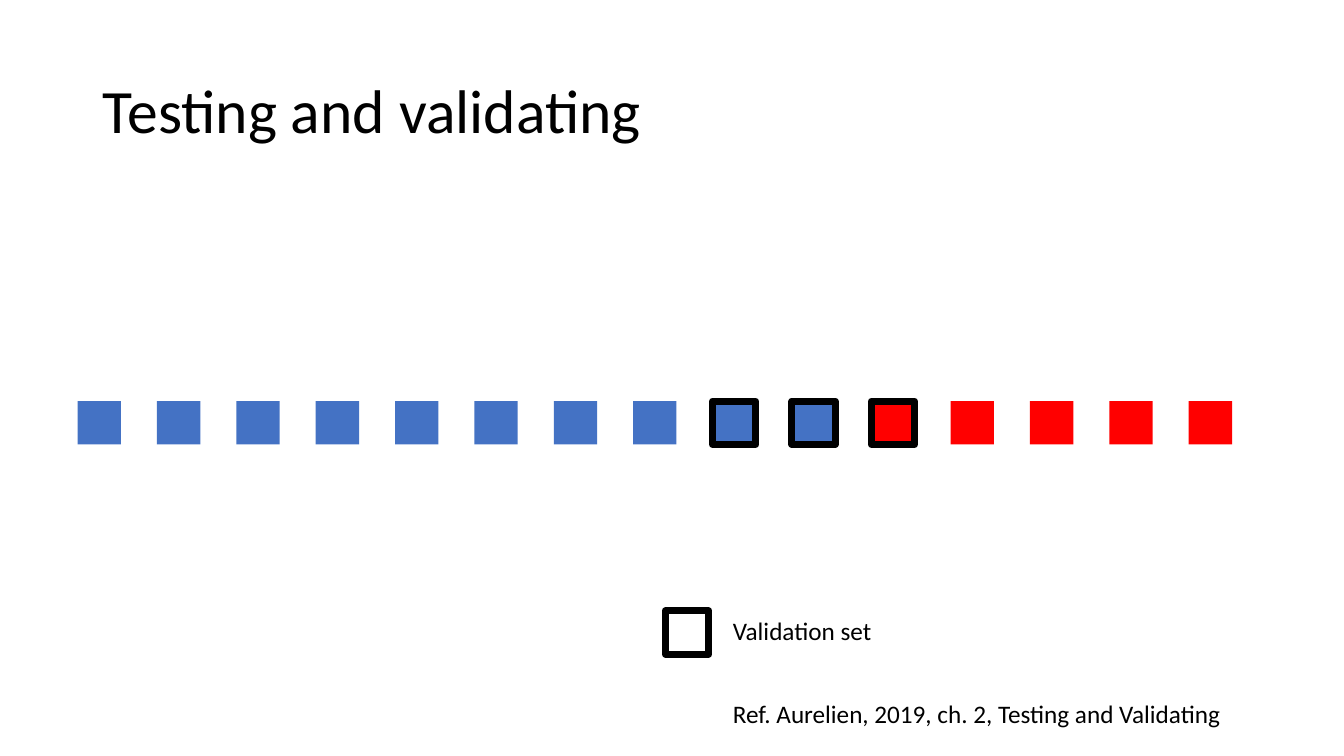
from pptx import Presentation
from pptx.dml.color import RGBColor
from pptx.enum.shapes import MSO_SHAPE
from pptx.enum.text import MSO_ANCHOR, MSO_AUTO_SIZE, PP_ALIGN
from pptx.util import Inches, Pt

COLORS = {
    "training": "4472C4",
    "test": "FF0000",
    "outline": "000000",
    "background": "FFFFFF",
    "text": "000000",
}
FONT = "Calibri"
SQUARE_SIZE = 0.43
SQUARE_COUNT = 15
TRAINING_COUNT = 10
VALIDATION_SQUARES = range(8, 11)
ROW_LEFT, ROW_RIGHT, ROW_TOP = 0.77, 11.79, 3.98
LEGEND_TOP = 6.06
CAPTION_LEFT = 7.17


def color(name):
    return RGBColor.from_string(COLORS[name])


def write_text(shape, text, size=18, anchor=MSO_ANCHOR.TOP, line_spacing=None,
               auto_size=MSO_AUTO_SIZE.NONE):
    frame = shape.text_frame
    frame.word_wrap = True
    frame.auto_size = auto_size
    frame.vertical_anchor = anchor
    paragraph = frame.paragraphs[0]
    paragraph.alignment = PP_ALIGN.LEFT
    paragraph.line_spacing = line_spacing
    run = paragraph.add_run()
    run.text = text
    run.font.size = Pt(size)
    run.font.name = FONT
    run.font.color.rgb = color("text")


def add_title(slide, text):
    title = slide.shapes.title
    title.left, title.top = Inches(0.92), Inches(0.4)
    title.width, title.height = Inches(11.5), Inches(1.45)
    write_text(title, text, size=44, anchor=MSO_ANCHOR.MIDDLE, line_spacing=0.9)


def add_caption(slide, text, top, width):
    box = slide.shapes.add_textbox(
        Inches(CAPTION_LEFT), Inches(top), Inches(width), Inches(0.4))
    write_text(box, text, auto_size=MSO_AUTO_SIZE.SHAPE_TO_FIT_TEXT)


def add_square(slide, left, top, fill, outlined=False):
    square = slide.shapes.add_shape(
        MSO_SHAPE.RECTANGLE, Inches(left), Inches(top),
        Inches(SQUARE_SIZE), Inches(SQUARE_SIZE))
    square.shadow.inherit = False
    square.fill.solid()
    square.fill.fore_color.rgb = color(fill)
    if outlined:
        square.line.color.rgb = color("outline")
        square.line.width = Pt(5)
    else:
        square.line.fill.background()


def add_data_row(slide):
    pitch = (ROW_RIGHT - ROW_LEFT) / (SQUARE_COUNT - 1)
    for index in range(SQUARE_COUNT):
        fill = "training" if index < TRAINING_COUNT else "test"
        add_square(slide, ROW_LEFT + index * pitch, ROW_TOP, fill,
                   outlined=index in VALIDATION_SQUARES)


def main():
    presentation = Presentation()
    presentation.slide_width = Inches(13.33)
    presentation.slide_height = Inches(7.5)
    slide = presentation.slides.add_slide(presentation.slide_layouts[5])

    # Title
    add_title(slide, "Testing and validating")

    # Training and test samples, with the validation set outlined
    add_data_row(slide)

    # Legend
    add_square(slide, 6.6, LEGEND_TOP, "background", outlined=True)
    add_caption(slide, "Validation set", LEGEND_TOP, 2.26)

    # Reference
    add_caption(slide, "Ref. Aurelien, 2019, ch. 2, Testing and Validating", 6.88, 6.01)

    presentation.save("out.pptx")


if __name__ == "__main__":
    main()
